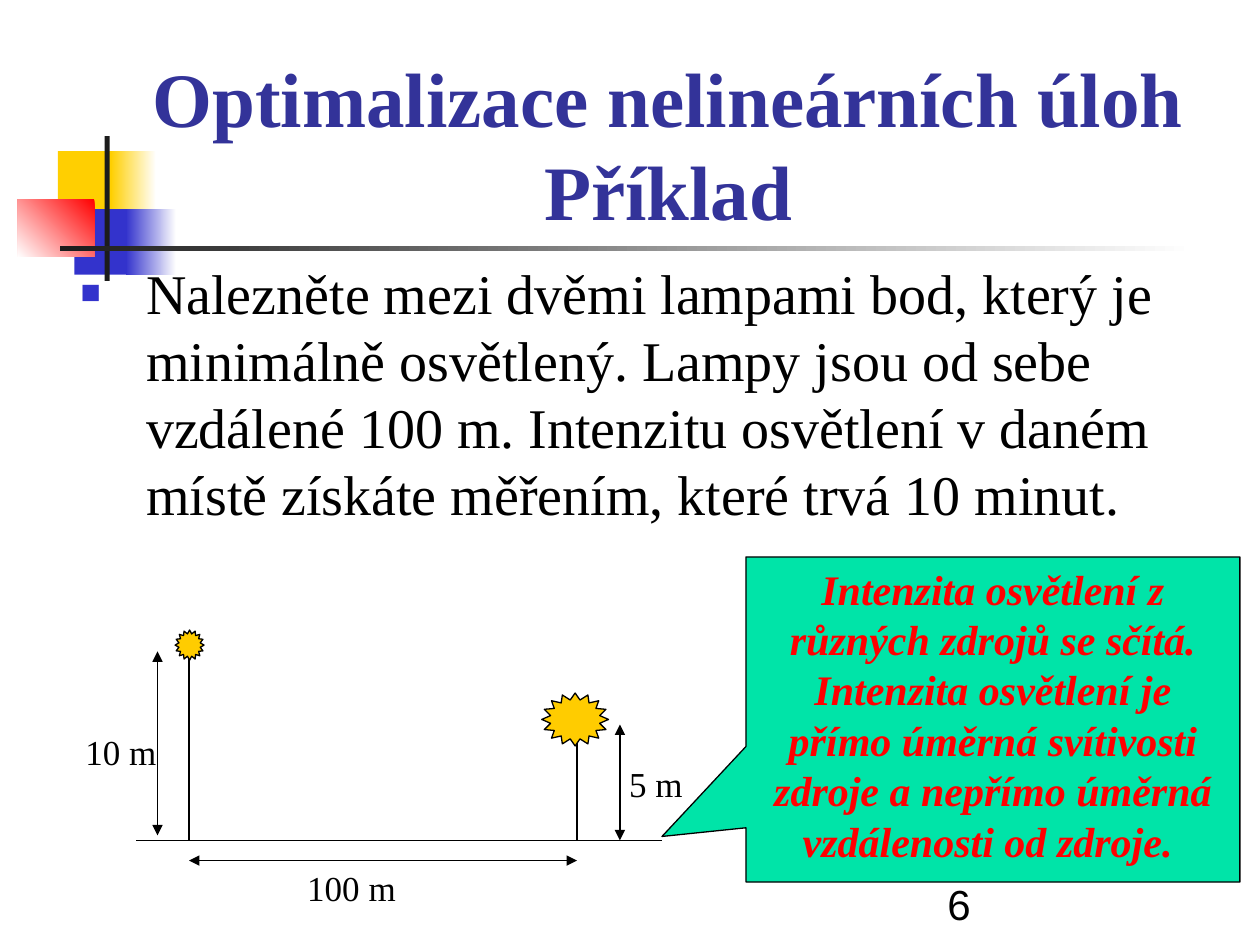
"""Build the slide on finding the least lit point between two lamps."""
from lxml.etree import SubElement
from pptx import Presentation
from pptx.dml.color import RGBColor as RGB
from pptx.enum.shapes import MSO_CONNECTOR as Conn, MSO_SHAPE as Shape
from pptx.enum.text import MSO_ANCHOR as Anchor, MSO_AUTO_SIZE as Auto, PP_ALIGN as Align
from pptx.oxml.ns import qn
from pptx.util import Pt

PX = 9144
THEME = {
    "serif": "Times New Roman", "sans": "Arial",
    "title": 44, "body": 32, "note": 24, "label": 20, "line": 0.75,
    "white": "FFFFFF", "black": "000000", "dark": "1C1C1C",
    "gold": "FFCF01", "blue": "3333CC", "red": "FF0000",
    "navy": "333399", "lamp": "FFCC00", "mint": "00E4A8",
}


def add_box(kind, box, fill, fade=None, angle=180):
    """Add a preset shape with a plain or fading fill."""
    shape = slide.shapes.add_shape(kind, *[n * PX for n in box])
    shape.shadow.inherit = False
    if fade:
        shape.fill.gradient()
        shape.fill.gradient_angle = angle
        for stop, name in zip(shape.fill.gradient_stops, (fill, fade)):
            stop.color.rgb = RGB.from_string(THEME[name])
    else:
        shape.fill.solid()
        shape.fill.fore_color.rgb = RGB.from_string(THEME[fill])
    shape.line.fill.background()
    return shape


def set_text(shape, texts, size, color="black", align=Align.CENTER, anchor=Anchor.TOP,
             font="serif", bold=False, italic=False, bullet=None):
    """Fill a shape with evenly styled paragraphs."""
    frame = shape.text_frame
    frame.text = "\n".join(texts)
    frame.word_wrap = True
    frame.auto_size = Auto.NONE
    frame.vertical_anchor = anchor
    for para in frame.paragraphs:
        para.alignment = align
        para.space_before = Pt(0)
        if bullet:
            props = para._p.get_or_add_pPr()
            props.set("marL", str(73 * PX))
            props.set("indent", str(-52 * PX))
            tint = SubElement(props, qn("a:buClr"))
            SubElement(tint, qn("a:srgbClr"), val=THEME["blue"])
            SubElement(props, qn("a:buSzPct"), val="60000")
            SubElement(props, qn("a:buFont"), typeface=THEME["serif"])
            SubElement(props, qn("a:buChar"), char=bullet)
        para.font.name = THEME[font]
        para.font.size = Pt(THEME[size])
        para.font.bold = bold
        para.font.italic = italic
        para.font.color.rgb = RGB.from_string(THEME[color])


deck = Presentation()
deck.slide_width, deck.slide_height = 1000 * PX, 750 * PX
slide = deck.slides.add_slide(deck.slide_layouts[1])

for box, fill, fade, angle in (
    ((46, 120, 48, 52), "gold", None, 0),
    ((88, 120, 36, 52), "white", "gold", 180),
    ((59, 166, 46, 52), "blue", None, 0),
    ((100, 166, 40, 52), "white", "blue", 180),
    ((14, 158, 61, 46), "red", "white", 225),
    ((83, 108, 4, 115), "dark", None, 0),
    ((48, 195, 900, 4), "white", "dark", 180),
):
    add_box(Shape.RECTANGLE, box, fill, fade, angle)

title, body = slide.placeholders
for holder, box in ((title, (83, 67, 895, 125)), (body, (33, 200, 925, 250))):
    holder.left, holder.top, holder.width, holder.height = [n * PX for n in box]
    slide.shapes.element.append(holder.element)

set_text(title, ["Optimalizace nelineárních úloh\vPříklad"], "title", "navy",
         anchor=Anchor.BOTTOM, bold=True)
set_text(body, [
    "Nalezněte mezi dvěmi lampami bod, který je minimálně osvětlený. "
    "Lampy jsou od sebe vzdálené 100 m. Intenzitu osvětlení v daném "
    "místě získáte měřením, které trvá 10 minut."
], "body", align=Align.LEFT, bullet="■")

for ends, arrow in (
    ((108, 667, 525, 667), False),
    ((150, 667, 150, 516), False),
    ((458, 667, 458, 583), False),
    ((150, 683, 458, 683), True),
    ((125, 517, 125, 663), True),
    ((492, 575, 492, 667), True),
):
    line = slide.shapes.add_connector(Conn.STRAIGHT, *[n * PX for n in ends])
    line.line.color.rgb = RGB.from_string(THEME["black"])
    line.line.width = Pt(THEME["line"])
    if arrow:
        for tip in ("a:headEnd", "a:tailEnd"):
            SubElement(line.line._get_or_add_ln(), qn(tip), type="triangle")
    SubElement(line.element.spPr, qn("a:effectLst"))

lamps = [add_box(Shape.STAR_16_POINT, box, "lamp")
         for box in ((139, 500, 23, 24), (430, 550, 53, 42))]

for text, box in (
    ("100 m", (225, 683, 108, 44)),
    ("5 m", (483, 600, 75, 44)),
    ("10 m", (42, 575, 108, 44)),
):
    label = slide.shapes.add_textbox(*[n * PX for n in box])
    set_text(label, [text], "label")

note = add_box(Shape.RECTANGULAR_CALLOUT, (592, 442, 392, 258), "mint")
note.adjustments[0], note.adjustments[1] = -0.67, 0.36
set_text(note, [
    "Intenzita osvětlení z různých zdrojů se sčítá.",
    "Intenzita osvětlení je přímo úměrná svítivosti zdroje "
    "a nepřímo úměrná vzdálenosti od zdroje. ",
], "note", "red", bold=True, italic=True)

for shape in (*lamps, note):
    shape.line.color.rgb = RGB.from_string(THEME["black"])
    shape.line.width = Pt(THEME["line"])

page = slide.shapes.add_textbox(742 * PX, 692 * PX, 208 * PX, 50 * PX)
set_text(page, ["6"], "note", align=Align.LEFT, anchor=Anchor.BOTTOM, font="sans")

deck.save("out.pptx")
